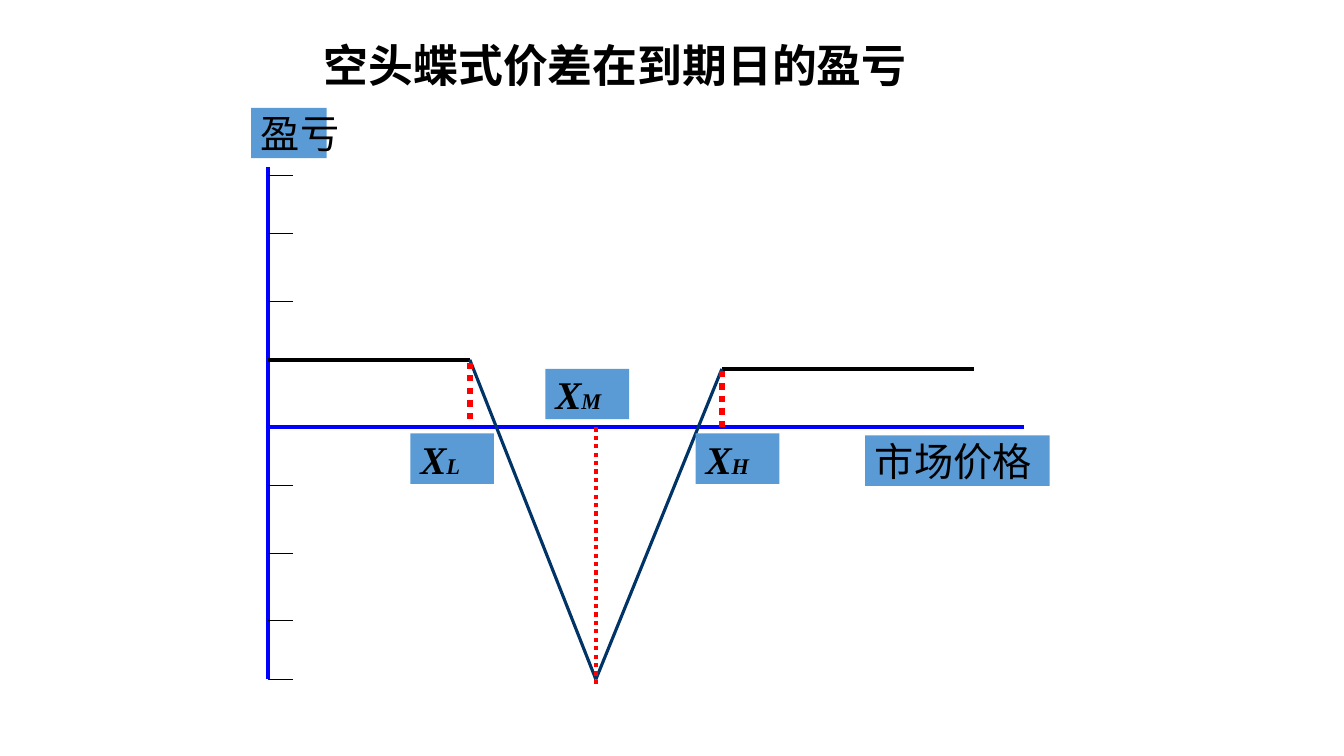
from typing import NamedTuple, Optional

import pptx
import pptx.dml.color
import pptx.enum.dml
import pptx.enum.shapes
import pptx.enum.text
import pptx.oxml
import pptx.oxml.ns
import pptx.util
from pptx.util import Inches

BLACK = pptx.dml.color.RGBColor(0x00, 0x00, 0x00)
BLUE = pptx.dml.color.RGBColor(0x00, 0x00, 0xFF)
NAVY = pptx.dml.color.RGBColor(0x00, 0x33, 0x66)
RED = pptx.dml.color.RGBColor(0xFF, 0x00, 0x00)
LABEL_BLUE = pptx.dml.color.RGBColor(0x5B, 0x9B, 0xD5)

CHINESE = "Noto Sans CJK SC"
LATIN = "Times New Roman"
DOTTED = pptx.enum.dml.MSO_LINE.ROUND_DOT

AXIS_X, AXIS_Y = 2.66, 4.24
STRIKE_LOW, STRIKE_MID, STRIKE_HIGH = 4.66, 5.91, 7.16
GAIN_LOW, GAIN_HIGH, MAX_LOSS = 3.57, 3.66, 6.74
TICK_LENGTH = 0.25
TICK_HEIGHTS = (1.74, 2.32, 2.99, GAIN_LOW, 4.82, 5.49, 6.16, MAX_LOSS)
LABEL_HEIGHT = 0.5


class Segment(NamedTuple):
    x1: float
    y1: float
    x2: float
    y2: float
    color: pptx.dml.color.RGBColor
    weight: float
    dotted: bool = False


class Label(NamedTuple):
    left: float
    top: float
    width: float
    text: str
    subscript: Optional[str] = None
    wrap: bool = False


SEGMENTS = [
    Segment(AXIS_X, 1.66, AXIS_X, MAX_LOSS, BLUE, 3),
    Segment(AXIS_X, AXIS_Y, 10.16, AXIS_Y, BLUE, 3),
    Segment(AXIS_X, GAIN_LOW, STRIKE_LOW, GAIN_LOW, BLACK, 3),
    Segment(STRIKE_HIGH, GAIN_HIGH, 9.66, GAIN_HIGH, BLACK, 3),
    Segment(STRIKE_LOW, GAIN_LOW, STRIKE_MID, MAX_LOSS, NAVY, 2.25),
    Segment(STRIKE_HIGH, GAIN_HIGH, STRIKE_MID, MAX_LOSS, NAVY, 2.25),
    Segment(STRIKE_MID, AXIS_Y, STRIKE_MID, 6.82, RED, 3, True),
    *(Segment(AXIS_X, y, AXIS_X + TICK_LENGTH, y, BLACK, 0.75) for y in TICK_HEIGHTS),
    Segment(STRIKE_LOW, 4.16, STRIKE_LOW, GAIN_LOW, RED, 4.5, True),
    Segment(STRIKE_HIGH, AXIS_Y, STRIKE_HIGH, GAIN_HIGH, RED, 4.5, True),
]

LABELS = [
    Label(5.41, 3.66, 0.83, "X", "M"),
    Label(8.58, 4.32, 1.83, "市场价格"),
    Label(2.49, 1.07, 0.75, "盈亏"),
    Label(4.07, 4.3, 0.83, "X", "L", True),
    Label(6.9, 4.3, 0.83, "X", "H", True),
]


def add_text(paragraph, text: str, *, size: float, font: str,
             bold: bool = False, italic: bool = False) -> None:
    run = paragraph.add_run()
    run.text = text
    run.font.size = pptx.util.Pt(size)
    run.font.bold = bold
    run.font.italic = italic
    run.font.color.rgb = BLACK
    run.font.name = font
    east_asian = pptx.oxml.ns.qn("a:ea")
    run.font._element.makeelement(east_asian)
    latin = run.font._element.find(pptx.oxml.ns.qn("a:latin"))
    latin.addnext(latin.makeelement(east_asian, {"typeface": font}))


def draw_segment(slide, segment: Segment) -> None:
    line = slide.shapes.add_connector(
        pptx.enum.shapes.MSO_CONNECTOR.STRAIGHT,
        Inches(segment.x1), Inches(segment.y1), Inches(segment.x2), Inches(segment.y2))
    line.line.color.rgb = segment.color
    line.line.width = pptx.util.Pt(segment.weight)
    if segment.dotted:
        line.line.dash_style = DOTTED
    properties = line._element.spPr
    properties.append(properties.makeelement(pptx.oxml.ns.qn("a:effectLst")))


def draw_label(slide, label: Label) -> None:
    box = slide.shapes.add_shape(
        pptx.enum.shapes.MSO_SHAPE.RECTANGLE,
        Inches(label.left), Inches(label.top), Inches(label.width), Inches(LABEL_HEIGHT))
    box.shadow.inherit = False
    box.fill.solid()
    box.fill.fore_color.rgb = LABEL_BLUE
    box.line.fill.background()
    box.text_frame.word_wrap = label.wrap
    box.text_frame.vertical_anchor = pptx.enum.text.MSO_ANCHOR.MIDDLE
    paragraph = box.text_frame.paragraphs[0]
    paragraph.alignment = pptx.enum.text.PP_ALIGN.LEFT
    if label.subscript:
        add_text(paragraph, label.text, size=28, font=LATIN, bold=True, italic=True)
        add_text(paragraph, label.subscript, size=16, font=LATIN, bold=True, italic=True)
    else:
        add_text(paragraph, label.text, size=28, font=CHINESE)


def draw_title(slide, text: str) -> None:
    title = slide.shapes.add_textbox(Inches(2.02), Inches(0.36), Inches(8.17), Inches(0.63))
    title.text_frame.word_wrap = True
    title.text_frame.vertical_anchor = pptx.enum.text.MSO_ANCHOR.MIDDLE
    paragraph = title.text_frame.paragraphs[0]
    paragraph.alignment = pptx.enum.text.PP_ALIGN.CENTER
    paragraph.line_spacing = 0.9
    add_text(paragraph, text, size=32, font=CHINESE, bold=True)


def main() -> None:
    presentation = pptx.Presentation()
    presentation.slide_width = Inches(13.33)
    presentation.slide_height = Inches(7.5)
    slide = presentation.slides.add_slide(presentation.slide_layouts[6])
    draw_title(slide, "空头蝶式价差在到期日的盈亏")
    for segment in SEGMENTS:
        draw_segment(slide, segment)
    for label in LABELS:
        draw_label(slide, label)
    presentation.save("out.pptx")


if __name__ == "__main__":
    main()
